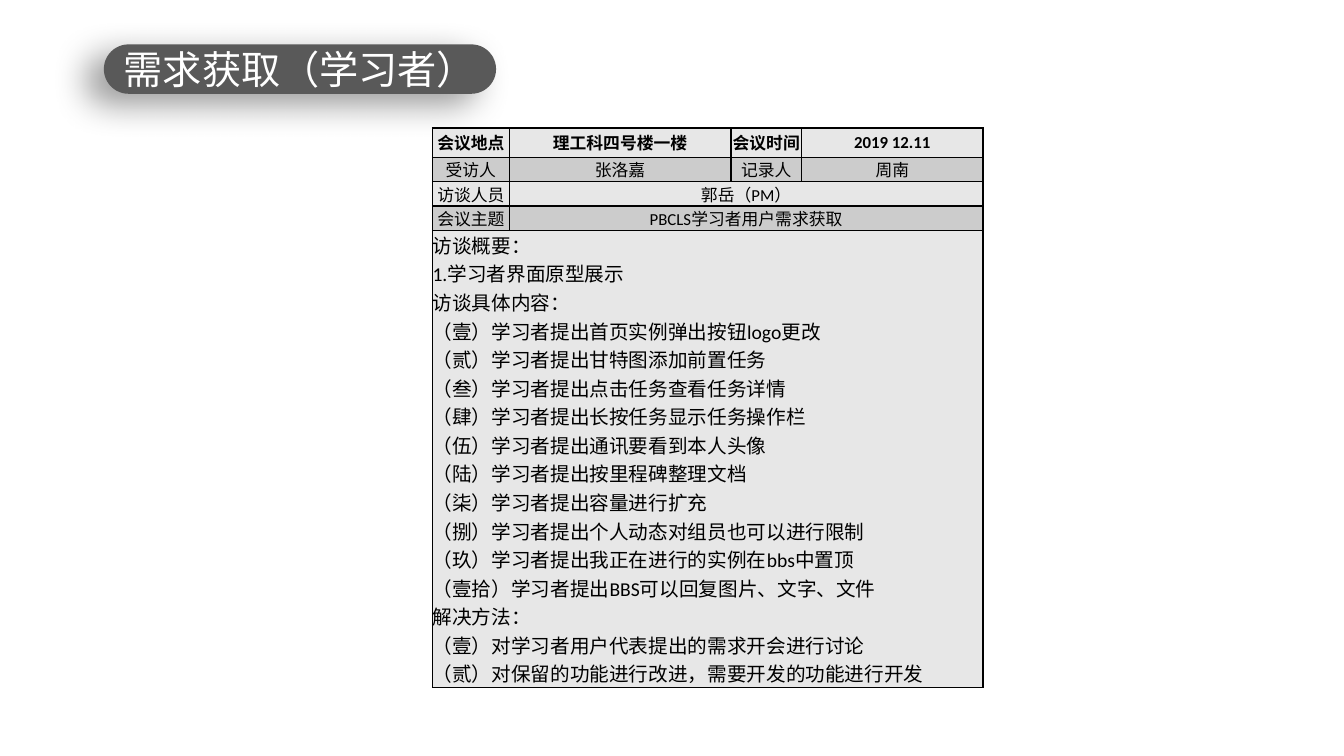
from lxml import etree
from pptx import Presentation
from pptx.dml.color import RGBColor
from pptx.enum import shapes, text
from pptx.oxml import ns
from pptx.util import Inches, Pt

# Content
TITLE = "需求获取（学习者）"
HEAD = [
    ["会议地点", "理工科四号楼一楼", "会议时间", "2019 12.11"],
    ["受访人", "张洛嘉", "记录人", "周南"],
    ["访谈人员", "郭岳（PM）"],
    ["会议主题", "PBCLS学习者用户需求获取"],
]
NOTES = [
    "访谈概要：",
    "1.学习者界面原型展示",
    "访谈具体内容：",
    "（壹）学习者提出首页实例弹出按钮logo更改",
    "（贰）学习者提出甘特图添加前置任务",
    "（叁）学习者提出点击任务查看任务详情",
    "（肆）学习者提出长按任务显示任务操作栏",
    "（伍）学习者提出通讯要看到本人头像",
    "（陆）学习者提出按里程碑整理文档",
    "（柒）学习者提出容量进行扩充",
    "（捌）学习者提出个人动态对组员也可以进行限制",
    "（玖）学习者提出我正在进行的实例在bbs中置顶",
    "（壹拾）学习者提出BBS可以回复图片、文字、文件",
    "解决方法：",
    "（壹）对学习者用户代表提出的需求开会进行讨论",
    "（贰）对保留的功能进行改进，需要开发的功能进行开发",
]
COLS = [0.76, 2.2, 0.7, 1.8]
ROWS = [0.29, 0.17, 0.24, 0.19, 4.21]

THEME = {
    "font": "Calibri", "pill": "595959", "white": "FFFFFF", "ink": "000000",
    "bands": ["E7E7E7", "CCCCCC"],
    "title": 28, "head": 12, "body": 14,
}
MID, LEFT = text.PP_ALIGN.CENTER, text.PP_ALIGN.LEFT


def paint(obj, color):
    obj.fill.solid()
    obj.fill.fore_color.rgb = RGBColor.from_string(color)


def write(frame, lines, size, color, align, bold=False):
    style = {"name": THEME["font"], "size": Pt(size), "bold": bold}
    for i, line in enumerate(lines):
        para = frame.paragraphs[0] if i == 0 else frame.add_paragraph()
        para.alignment = align
        run = para.add_run()
        run.text = line
        for key, val in style.items():
            setattr(run.font, key, val)
        run.font.color.rgb = RGBColor.from_string(color)


def edge(cell):
    props = cell._tc.get_or_add_tcPr()
    for side in ("lnL", "lnR", "lnT", "lnB"):
        line = etree.SubElement(props, ns.qn("a:" + side), w=str(Pt(1)))
        fill = etree.SubElement(line, ns.qn("a:solidFill"))
        etree.SubElement(fill, ns.qn("a:srgbClr"), val=THEME["ink"])


def shade(shape):
    effects = etree.SubElement(shape._element.spPr, ns.qn("a:effectLst"))
    outer = etree.SubElement(
        effects, ns.qn("a:outerShdw"), blurRad=str(Pt(25)), dist=str(Pt(15)),
        dir=str(150 * 60000), algn="tr", rotWithShape="0")
    tint = etree.SubElement(outer, ns.qn("a:srgbClr"), val=THEME["ink"])
    etree.SubElement(tint, ns.qn("a:alpha"), val="40000")


def add_title(slide):
    pill = slide.shapes.add_shape(
        shapes.MSO_SHAPE.ROUNDED_RECTANGLE,
        Inches(1.03), Inches(0.44), Inches(3.89), Inches(0.49))
    pill.adjustments[0] = 0.5
    paint(pill, THEME["pill"])
    pill.line.fill.background()
    shade(pill)
    frame = pill.text_frame
    frame.word_wrap = True
    frame.vertical_anchor = text.MSO_ANCHOR.MIDDLE
    write(frame, [TITLE], THEME["title"], THEME["white"], MID)


def add_grid(slide):
    grid = slide.shapes.add_table(
        len(ROWS), len(COLS), Inches(4.29), Inches(1.27),
        Inches(sum(COLS)), Inches(sum(ROWS))).table
    grid.first_row = grid.horz_banding = False
    for col, width in zip(grid.columns, COLS):
        col.width = Inches(width)
    for row, height in zip(grid.rows, ROWS):
        row.height = Inches(height)

    # Every cell: no margins, thin border, alternating fill
    sides = ("left", "right", "top", "bottom")
    look = {"margin_" + side: 0 for side in sides}
    look["vertical_anchor"] = text.MSO_ANCHOR.MIDDLE
    for r, row in enumerate(grid.rows):
        for cell in row.cells:
            for key, val in look.items():
                setattr(cell, key, val)
            edge(cell)
            paint(cell, THEME["bands"][r % 2])

    # Meeting facts: a short row stretches its last cell to the right edge
    last = len(COLS) - 1
    for r, words in enumerate(HEAD):
        for c, word in enumerate(words):
            write(grid.cell(r, c).text_frame, [word], THEME["head"],
                  THEME["ink"], MID, bold=r == 0)
        if len(words) <= last:
            grid.cell(r, len(words) - 1).merge(grid.cell(r, last))

    # Interview notes across the full width
    foot = len(HEAD)
    note = grid.cell(foot, 0)
    note.merge(grid.cell(foot, last))
    note.vertical_anchor = text.MSO_ANCHOR.TOP
    write(note.text_frame, NOTES, THEME["body"], THEME["ink"], LEFT)


def main():
    deck = Presentation()
    deck.slide_width, deck.slide_height = Inches(13.33), Inches(7.5)
    slide = deck.slides.add_slide(deck.slide_layouts[6])
    add_title(slide)
    add_grid(slide)
    deck.save("out.pptx")


if __name__ == "__main__":
    main()
